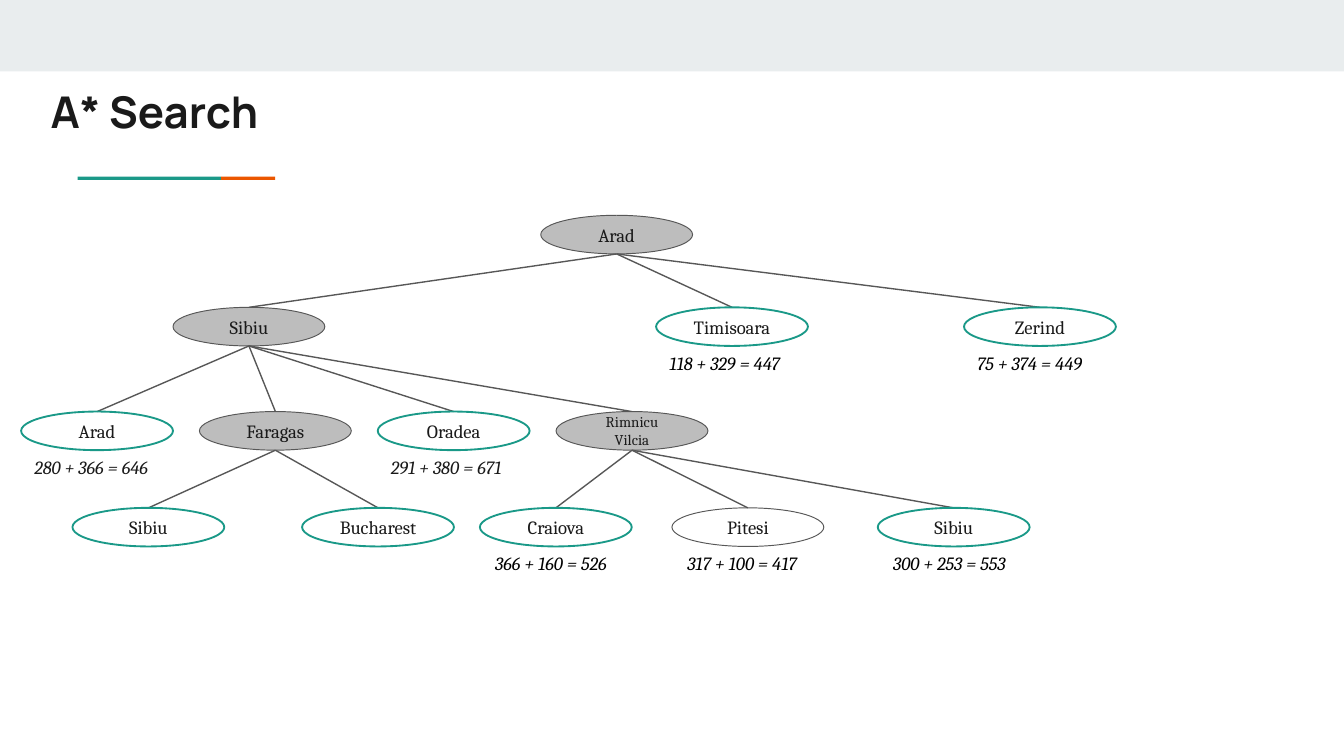
import pptx
import pptx.dml.color
import pptx.enum.shapes
import pptx.enum.text
import pptx.util
from lxml import etree
from pptx.oxml.ns import qn

Cm = pptx.util.Cm
Pt = pptx.util.Pt
Kind = pptx.enum.shapes.MSO_SHAPE
Align = pptx.enum.text.PP_ALIGN
Anchor = pptx.enum.text.MSO_ANCHOR

WIDE, HIGH = 2.87, 0.73  # node size in cm
ROWS = [4.07, 5.81, 7.78, 9.6]  # node tops in cm
STEP = 3.37  # pitch of the third row

# (name, left, state, cost, children)
TREE = ("Arad", 10.22, "done", "", [
    ("Sibiu", 3.27, "done", "", [
        ("Arad", 0.4, "open", "280 + 366 = 646", []),
        ("Faragas", 0.4 + STEP, "done", "", [
            ("Sibiu", 1.37, "open", "", []),
            ("Bucharest", 5.71, "open", "", []),
        ]),
        ("Oradea", 0.4 + 2 * STEP, "open", "291 + 380 = 671", []),
        ("Rimnicu\nVilcia", 0.4 + 3 * STEP, "done", "", [
            ("Craiova", 9.07, "open", "366 + 160 = 526", []),
            ("Pitesi", 12.7, "next", "317 + 100 = 417", []),
            ("Sibiu", 16.59, "open", "300 + 253 = 553", []),
        ]),
    ]),
    ("Timisoara", 12.4, "open", "118 + 329 = 447", []),
    ("Zerind", 18.22, "open", "75 + 374 = 449", []),
])


def rgb(code):
    return pptx.dml.color.RGBColor.from_string(code)


def write(shape, text, size=10, font="Cambria", color="1A1A1A", bold=False,
          italic=False, align=Align.LEFT, anchor=Anchor.TOP, pad=(0.25, 0.13)):
    """Fill a shape with text, one paragraph a line."""
    frame = shape.text_frame
    frame.word_wrap = True
    frame.vertical_anchor = anchor
    frame.margin_left = frame.margin_right = Cm(pad[0])
    frame.margin_top = frame.margin_bottom = Cm(pad[1])
    for i, line in enumerate(text.split("\n")):
        para = frame.add_paragraph() if i else frame.paragraphs[0]
        para.alignment = align
        run = para.add_run()
        run.text = line
        run.font.size = Pt(size)
        run.font.name = font
        run.font.bold = bold
        run.font.italic = italic
        run.font.color.rgb = rgb(color)


class Deck:
    ink, teal, flame = "575757", "1A9988", "EB5600"
    # state: (fill, line, line width)
    looks = {"done": ("BDBDBD", ink, 0.5),
             "open": (None, teal, 1),
             "next": (None, ink, 0.5)}

    def __init__(self):
        self.file = pptx.Presentation()
        self.file.slide_width = Cm(25.4)
        self.file.slide_height = Cm(14.29)
        self.slide = self.file.slides.add_slide(self.file.slide_layouts[6])

    def shape(self, kind, x, y, w, h, fill=None, line=None, width=1):
        item = self.slide.shapes.add_shape(kind, Cm(x), Cm(y), Cm(w), Cm(h))
        item.shadow.inherit = False
        if fill:
            item.fill.solid()
            item.fill.fore_color.rgb = rgb(fill)
        else:
            item.fill.background()
        if line:
            item.line.color.rgb = rgb(line)
            item.line.width = Pt(width)
        else:
            item.line.fill.background()
        return item

    def bar(self, x, y, w, h, fill):
        self.shape(Kind.RECTANGLE, x, y, w, h, fill)

    def label(self, x, y, w, h, text, **style):
        box = self.slide.shapes.add_textbox(Cm(x), Cm(y), Cm(w), Cm(h))
        write(box, text, **style)

    def node(self, x, y, text, state):
        item = self.shape(Kind.OVAL, x, y, WIDE, HIGH, *self.looks[state])
        write(item, text, size=8 if "\n" in text else 10,
              align=Align.CENTER, anchor=Anchor.MIDDLE, pad=(0, 0))

    def edge(self, x1, y1, x2, y2):
        line = self.slide.shapes.add_connector(
            pptx.enum.shapes.MSO_CONNECTOR.STRAIGHT,
            Cm(x1), Cm(y1), Cm(x2), Cm(y2))
        line.line.color.rgb = rgb(self.ink)
        line.line.width = Pt(0.75)
        etree.SubElement(line._element.spPr, qn("a:effectLst"))

    def tree(self, branch, depth=0):
        """Draw a node, its cost and all below it."""
        name, x, state, cost, kids = branch
        y = ROWS[depth]
        self.node(x, y, name, state)
        if cost:
            self.label(x + (0.04 if depth == 3 else 0), y + 0.71, 3.6, 0.69,
                       cost, italic=True,
                       color="1A1A1A" if depth == 2 else "000000")
        for kid in kids:
            self.edge(x + WIDE / 2, y + HIGH,
                      kid[1] + WIDE / 2, ROWS[depth + 1])
            self.tree(kid, depth + 1)


def main():
    deck = Deck()
    deck.bar(0, 0, 25.4, 1.35, "E9EDEE")
    deck.bar(1.47, 3.34, 2.71, 0.06, deck.teal)
    deck.bar(4.18, 3.34, 1.02, 0.06, deck.flame)
    deck.label(0.71, 1.35, 4.55, 1.5, "A* Search", size=23.4, font="Manrope",
               bold=True, anchor=Anchor.MIDDLE, pad=(0.25, 0.25))
    deck.tree(TREE)
    deck.file.save("out.pptx")


if __name__ == "__main__":
    main()
